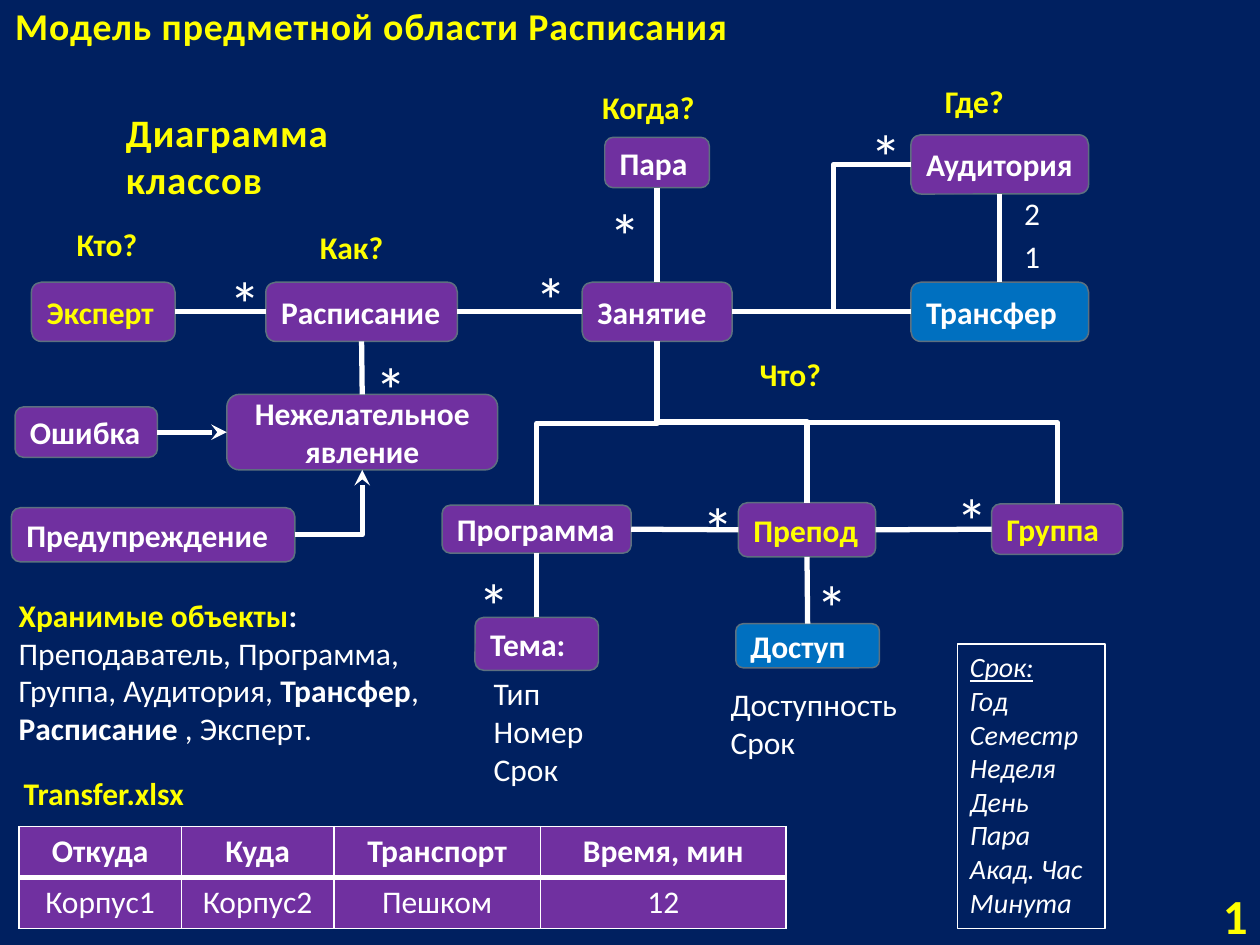
from lxml.etree import SubElement
from pptx import Presentation
from pptx.dml.color import RGBColor
from pptx.enum.shapes import MSO_CONNECTOR, MSO_SHAPE
from pptx.enum.text import MSO_ANCHOR, PP_ALIGN
from pptx.oxml import parse_xml
from pptx.oxml.ns import nsdecls, qn
from pptx.util import Inches, Pt

NAVY, PURPLE, BLUE = "002060", "7030A0", "0070C0"
YELLOW, WHITE, GREY = "FFFF00", "FFFFFF", "5D7080"
TOP, LEFT, BOTTOM, RIGHT = range(4)

# name: left, top, width, height, fill, text colour
CLASSES = {
    "Пара": (4.8, 1.09, 0.83, 0.4, PURPLE, WHITE),
    "Аудитория": (7.23, 1.07, 1.41, 0.47, PURPLE, WHITE),
    "Эксперт": (0.25, 2.24, 1.14, 0.47, PURPLE, YELLOW),
    "Расписание": (2.11, 2.24, 1.52, 0.47, PURPLE, WHITE),
    "Занятие": (4.62, 2.24, 1.19, 0.47, PURPLE, WHITE),
    "Трансфер": (7.23, 2.24, 1.41, 0.47, BLUE, WHITE),
    "Ошибка": (0.12, 3.23, 1.13, 0.4, PURPLE, WHITE),
    "Нежелательное явление": (1.8, 3.13, 2.15, 0.6, PURPLE, WHITE),
    "Предупреждение": (0.09, 4.03, 2.25, 0.43, PURPLE, WHITE),
    "Программа": (3.51, 4.01, 1.5, 0.38, PURPLE, WHITE),
    "Препод": (5.86, 3.99, 1.09, 0.43, PURPLE, YELLOW),
    "Группа": (7.87, 4.0, 1.04, 0.4, PURPLE, YELLOW),
    "Тема:": (3.77, 4.9, 0.98, 0.42, PURPLE, WHITE),
    "Доступ": (5.84, 4.95, 1.14, 0.35, BLUE, WHITE),
}
STRAIGHT_LINKS = [
    ("Пара", BOTTOM, "Занятие", TOP),
    ("Эксперт", RIGHT, "Расписание", LEFT),
    ("Расписание", RIGHT, "Занятие", LEFT),
    ("Занятие", RIGHT, "Трансфер", LEFT),
    ("Аудитория", BOTTOM, "Трансфер", TOP),
    ("Расписание", BOTTOM, "Нежелательное явление", TOP),
    ("Программа", RIGHT, "Препод", LEFT),
    ("Препод", RIGHT, "Группа", LEFT),
    ("Программа", BOTTOM, "Тема:", TOP),
    ("Препод", BOTTOM, "Доступ", TOP),
]
QUESTIONS = [("Кто?", 0.51, 1.74), ("Как?", 2.44, 1.76), ("Когда?", 4.68, 0.65),
             ("Где?", 7.4, 0.6), ("Что?", 5.93, 2.77)]
STARS = [(4.15, 2.02), (4.74, 1.51), (6.81, 0.88), (2.88, 2.73), (1.72, 2.05),
         (3.7, 4.45), (6.38, 4.46), (7.49, 3.77), (5.48, 3.84)]


def color(value):
    return RGBColor.from_string(value)


def format_span(span, size, shade, bold=False, italic=False):
    font = span.font
    font.name, font.size, font.bold, font.italic = "Calibri", Pt(size), bold, italic
    font.color.rgb = color(shade)


def write(frame, text, size, shade, bold=False, italic=False, align=PP_ALIGN.LEFT):
    frame.text = text
    for para in frame.paragraphs:
        para.alignment = align
        for span in para.runs:
            format_span(span, size, shade, bold, italic)


def add_text(slide, text, place, size=18, shade=WHITE, **style):
    box = slide.shapes.add_textbox(*map(Inches, place))
    box.text_frame.word_wrap = True
    write(box.text_frame, text, size, shade, **style)
    return box


def add_heading(box, text, size):
    frame = box.text_frame
    write(frame, text, size, YELLOW, bold=True)
    frame.word_wrap = False
    frame.vertical_anchor = MSO_ANCHOR.MIDDLE
    frame.paragraphs[0].runs[0].font._element.set("spc", "50")


def add_class(slide, name, left, top, width, height, fill, shade):
    box = slide.shapes.add_shape(MSO_SHAPE.ROUNDED_RECTANGLE,
                                 *map(Inches, (left, top, width, height)))
    box.shadow.inherit = False
    box.fill.solid()
    box.fill.fore_color.rgb = color(fill)
    box.line.color.rgb = color(GREY)
    box.line.width = Pt(0.85)
    box.text_frame.vertical_anchor = MSO_ANCHOR.MIDDLE
    align = PP_ALIGN.CENTER if " " in name else PP_ALIGN.LEFT
    write(box.text_frame, name, 18, shade, bold=True, align=align)
    return box


def add_link(slide, start, start_site, end, end_site,
             kind=MSO_CONNECTOR.STRAIGHT, arrow=False):
    link = slide.shapes.add_connector(kind, 0, 0, 0, 0)
    link.begin_connect(start, start_site)
    link.end_connect(end, end_site)
    link.line.color.rgb = color(WHITE)
    link.line.width = Pt(3)
    properties = link.element.spPr
    if arrow:
        SubElement(properties.find(qn("a:ln")), qn("a:tailEnd"), type="stealth")
    SubElement(properties, qn("a:effectLst"))
    return link


def turn_downward(link):
    """Make an elbow leave its upper end vertically."""
    across, down = link.end_x - link.begin_x, link.end_y - link.begin_y
    center_x = (link.begin_x + link.end_x) // 2
    center_y = (link.begin_y + link.end_y) // 2
    link.width, link.height = down, abs(across)
    link.left, link.top = center_x - down // 2, center_y - abs(across) // 2
    frame = link.element.spPr.find(qn("a:xfrm"))
    frame.attrib.pop("flipH", None)
    frame.set("rot", "16200000" if across > 0 else "5400000")
    if across > 0:
        frame.set("flipH", "1")


def add_links(slide, boxes):
    for start, start_site, end, end_site in STRAIGHT_LINKS:
        add_link(slide, boxes[start], start_site, boxes[end], end_site)
    lesson, problem = boxes["Занятие"], boxes["Нежелательное явление"]
    for name in ("Программа", "Препод", "Группа"):
        turn_downward(add_link(slide, lesson, BOTTOM, boxes[name], TOP, MSO_CONNECTOR.ELBOW))
    # Branch to the room
    branch = add_link(slide, lesson, RIGHT, boxes["Аудитория"], LEFT, MSO_CONNECTOR.ELBOW)
    guides = branch.element.spPr.find(qn("a:prstGeom")).find(qn("a:avLst"))
    SubElement(guides, qn("a:gd"), name="adj1", fmla="val 56700")
    # Kinds of problem
    add_link(slide, boxes["Ошибка"], RIGHT, problem, LEFT, arrow=True)
    corner = add_link(slide, boxes["Предупреждение"], RIGHT, problem, BOTTOM,
                      MSO_CONNECTOR.ELBOW, arrow=True)
    corner.element.spPr.find(qn("a:prstGeom")).set("prst", "bentConnector2")


def add_stored_objects(slide):
    box = add_text(slide, "", (0.05, 4.68, 3.58, 1.31))
    para = box.text_frame.paragraphs[0]
    for text, shade, bold in [
            ("Хранимые объекты", YELLOW, True), (": ", WHITE, True),
            ("Преподаватель, Программа, Группа, Аудитория, ", WHITE, False),
            ("Трансфер", WHITE, True), (", ", WHITE, False),
            ("Расписание", WHITE, True), (" , Эксперт.", WHITE, False)]:
        span = para.add_run()
        span.text = text
        format_span(span, 18, shade, bold)


def set_borders(cell, bottom):
    properties = cell._tc.get_or_add_tcPr()
    for index, (side, width) in enumerate(zip("LRTB", (1, 1, 1, bottom))):
        properties.insert(index, parse_xml(
            f'<a:ln{side} {nsdecls("a")} w="{Pt(width)}"><a:solidFill>'
            f'<a:srgbClr val="{WHITE}"/></a:solidFill></a:ln{side}>'))


def add_transfer_table(slide):
    rows = [("Откуда", "Куда", "Транспорт", "Время, мин"),
            ("Корпус1", "Корпус2", "Пешком", "12")]
    table = slide.shapes.add_table(2, 4, *map(Inches, (0.15, 6.56, 6.09, 0.81))).table
    for column, width in zip(table.columns, (1.29, 1.21, 1.64, 1.95)):
        column.width = Inches(width)
    for row_index, row in enumerate(rows):
        for column_index, text in enumerate(row):
            cell = table.cell(row_index, column_index)
            cell.fill.solid()
            cell.fill.fore_color.rgb = color(PURPLE)
            write(cell.text_frame, text, 18, WHITE, bold=row_index == 0, align=PP_ALIGN.CENTER)
            set_borders(cell, 3 if row_index == 0 else 1)
            if row_index == 1:
                cell._tc.tcPr.find(qn("a:lnT")).set("w", str(Pt(3)))


def main():
    deck = Presentation()
    deck.slide_width, deck.slide_height = Inches(10), Inches(7.5)
    slide = deck.slides.add_slide(deck.slide_layouts[5])
    slide.background.fill.solid()
    slide.background.fill.fore_color.rgb = color(NAVY)

    # Headings
    title = slide.shapes.title
    title.left, title.top, title.width, title.height = map(Inches, (0.02, 0.02, 6.32, 0.36))
    add_heading(title, "Модель предметной области Расписания", 21.6)
    add_heading(add_text(slide, "", (0.9, 1.01, 2.85, 0.45)), "Диаграмма классов", 22.2)

    # Class diagram
    boxes = {name: add_class(slide, name, *values) for name, values in CLASSES.items()}
    add_links(slide, boxes)
    for text, left, top in QUESTIONS:
        add_text(slide, text, (left, top, 0.95, 0.4), shade=YELLOW, bold=True)
    for left, top in STARS:
        add_text(slide, "*", (left, top, 0.31, 0.71), size=36)
    for text, top in (("2", 1.49), ("1", 1.83)):
        add_text(slide, text, (8.03, top, 0.34, 0.4))

    # Attributes and notes
    add_text(slide, "Тип\nНомер\nСрок", (3.82, 5.3, 0.93, 1.01))
    add_text(slide, "Доступность\nСрок", (5.7, 5.39, 1.81, 0.71))
    terms = add_text(slide, "Срок:\nГод\nСеместр\nНеделя\nДень\nПара\nАкад. Час\nМинута",
                     (7.6, 5.11, 1.17, 2.26), size=16, italic=True)
    terms.line.color.rgb = color(WHITE)
    terms.line.width = Pt(1)
    terms.text_frame.paragraphs[0].runs[0].font.underline = True
    add_stored_objects(slide)

    # Transfer table and page number
    add_text(slide, "Transfer.xlsx", (0.09, 6.09, 1.54, 0.4), shade=YELLOW, bold=True)
    add_transfer_table(slide)
    number = add_text(slide, "1", (9.05, 7.06, 0.95, 0.4), size=28, shade=YELLOW,
                      bold=True, align=PP_ALIGN.RIGHT)
    number.text_frame.vertical_anchor = MSO_ANCHOR.MIDDLE
    deck.save("out.pptx")


main()
